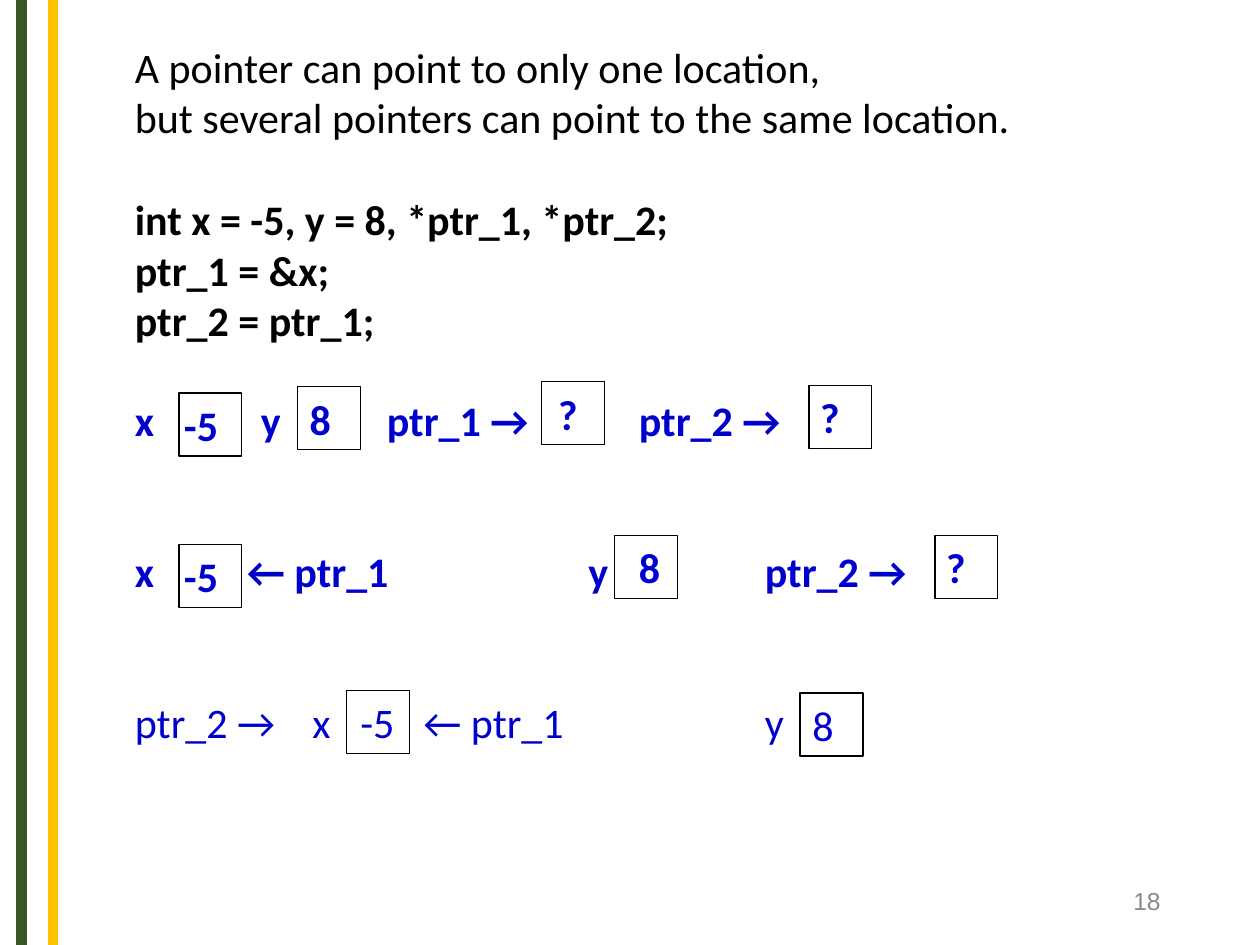
"""Slide on how several pointers can share one location."""
from dataclasses import dataclass

from lxml.etree import SubElement
from pptx import Presentation
from pptx.dml.color import RGBColor as Color
from pptx.enum.shapes import MSO_CONNECTOR as Connector, MSO_SHAPE as Shape
from pptx.enum.text import MSO_ANCHOR as Anchor, MSO_AUTO_SIZE as AutoSize, PP_ALIGN as Align
from pptx.oxml.ns import qn
from pptx.util import Inches, Pt


@dataclass(frozen=True)
class Theme:
    """Colours, fonts and type sizes of the slide."""
    green: str = "385723"
    gold: str = "FFC000"
    ink: str = "000000"
    blue: str = "0000CC"
    grey: str = "898989"
    text_font: str = "Calibri"
    number_font: str = "Arial"
    text_size: float = 24
    number_size: float = 14
    blank_line: float = 29.3
    stripe_width: float = 6
    cell_width: float = 0.75


@dataclass(frozen=True)
class Line:
    """A line of the body, with blank lines before it."""
    text: str
    gap: int = 0
    bold: bool = False


@dataclass(frozen=True)
class Label:
    """A name or arrow, at an offset from the text margin."""
    text: str
    offset: float


@dataclass(frozen=True)
class Cell:
    """A memory cell, its corner and the inset of its value."""
    value: str
    left: float
    top: float
    inset: float


@dataclass(frozen=True)
class State:
    """One row of the memory diagram."""
    labels: tuple[Label, ...]
    cells: tuple[Cell, ...]
    bold: bool = True


THEME = Theme()
WIDTH, HEIGHT = 10, 7.5
CELL = WIDTH / 20
MARGIN = 1.07
FIRST_ROW, ROW_PITCH = 3.33, 1.2
STRIPES = ((0.17, THEME.green), (0.42, THEME.gold))
LINES = (
    Line("A pointer can point to only one location,"),
    Line("but several pointers can point to the same location."),
    Line("int x = -5, y = 8, *ptr_1, *ptr_2;", 1, True),
    Line("ptr_1 = &x;", 0, True),
    Line("ptr_2 = ptr_1;", 0, True),
)
STATES = (
    State((Label("x", 0), Label("y", 1), Label("ptr_1 →", 2), Label("ptr_2 →", 4)),
          (Cell("-5", 1.42, 3.12, 0.04), Cell("8", 2.36, 3.07, 0.1),
           Cell("?", 4.3, 3.03, 0.13), Cell("?", 6.42, 3.06, 0.09))),
    State((Label("x", 0), Label("← ptr_1", 0.89), Label("y", 3.6), Label("ptr_2 →", 5)),
          (Cell("-5", 1.42, 4.32, 0.04), Cell("8", 4.88, 4.25, 0.19),
           Cell("?", 7.42, 4.25, 0.09))),
    State((Label("ptr_2 →", 0), Label("x", 1.41), Label("← ptr_1", 2.29), Label("y", 5)),
          (Cell("-5", 2.75, 5.48, 0.11), Cell("8", 6.35, 5.5, 0.1)), False),
)


def apply(target: object, values: dict) -> None:
    """Set every attribute named in the format values."""
    for name, value in values.items():
        setattr(target, name, value)


def write(para, text: str, font: str, size: float, color: str, bold: bool) -> None:
    """Add one formatted span to a paragraph."""
    span = para.add_run()
    span.text = text
    apply(span.font, {"name": font, "size": Pt(size), "bold": bold})
    span.font.color.rgb = Color.from_string(color)


def write_blue(item, text: str, inset: float, bold: bool) -> None:
    """Write diagram text in a shape, from the given left inset."""
    frame = item.text_frame
    apply(frame, {"word_wrap": True, "vertical_anchor": Anchor.MIDDLE,
                  "margin_left": Inches(inset), "margin_right": 0,
                  "margin_top": 0, "margin_bottom": 0})
    para = frame.paragraphs[0]
    para.alignment = Align.LEFT
    write(para, text, THEME.text_font, THEME.text_size, THEME.blue, bold)


def draw_stripe(page, across: float, color: str) -> None:
    """Draw a full-height vertical stripe."""
    stripe = page.shapes.add_connector(
        Connector.STRAIGHT, Inches(across), 0, Inches(across), Inches(HEIGHT))
    stripe.line.color.rgb = Color.from_string(color)
    stripe.line.width = Pt(THEME.stripe_width)
    SubElement(stripe.element.spPr, qn("a:effectLst"))


def draw_label(page, label: Label, middle: float, bold: bool) -> None:
    """Write one label centred on the middle of its row."""
    width = CELL * (0.5 if len(label.text) == 1 else 2.5)
    box = page.shapes.add_textbox(Inches(MARGIN + label.offset), Inches(middle - CELL / 2),
                                  Inches(width), Inches(CELL))
    write_blue(box, label.text, 0, bold)


def draw_cell(page, cell: Cell, bold: bool) -> None:
    """Draw one memory cell with its value."""
    square = page.shapes.add_shape(Shape.RECTANGLE, Inches(cell.left), Inches(cell.top),
                                   Inches(CELL), Inches(CELL))
    square.shadow.inherit = False
    square.fill.background()
    square.line.color.rgb = Color.from_string(THEME.ink)
    square.line.width = Pt(THEME.cell_width)
    write_blue(square, cell.value, cell.inset, bold)


def fill_body(body, lines: tuple[Line, ...]) -> None:
    """Place the body and write its lines without bullets."""
    apply(body, {"left": Inches(0.97), "top": Inches(0.28),
                 "width": Inches(8), "height": Inches(2.6)})
    frame = body.text_frame
    apply(frame, {"word_wrap": True, "auto_size": AutoSize.NONE,
                  "vertical_anchor": Anchor.TOP})
    for index, line in enumerate(lines):
        para = frame.add_paragraph() if index else frame.paragraphs[0]
        apply(para, {"space_before": Pt(line.gap * THEME.blank_line),
                     "space_after": Pt(0), "alignment": Align.LEFT})
        layout = para._p.get_or_add_pPr()
        layout.attrib.update({"marL": "0", "indent": "0"})
        SubElement(layout, qn("a:buNone"))
        write(para, line.text, THEME.text_font, THEME.text_size, THEME.ink, line.bold)


def add_number(page, number: str) -> None:
    """Write the page number at the lower right."""
    box = page.shapes.add_textbox(Inches(7.06), Inches(6.95), Inches(2.25), Inches(0.4))
    apply(box.text_frame, {"word_wrap": True, "vertical_anchor": Anchor.MIDDLE})
    para = box.text_frame.paragraphs[0]
    para.alignment = Align.RIGHT
    write(para, number, THEME.number_font, THEME.number_size, THEME.grey, False)


def main() -> None:
    """Build and save the deck."""
    deck = Presentation()
    apply(deck, {"slide_width": Inches(WIDTH), "slide_height": Inches(HEIGHT)})
    page = deck.slides.add_slide(deck.slide_layouts[1])
    title = page.shapes.title.element
    title.getparent().remove(title)
    for across, color in STRIPES:
        draw_stripe(page, across, color)
    add_number(page, "18")
    fill_body(page.placeholders[1], LINES)
    for row, state in enumerate(STATES):
        for label in state.labels:
            draw_label(page, label, FIRST_ROW + row * ROW_PITCH, state.bold)
        for cell in state.cells:
            draw_cell(page, cell, state.bold)
    deck.save("out.pptx")


if __name__ == "__main__":
    main()
